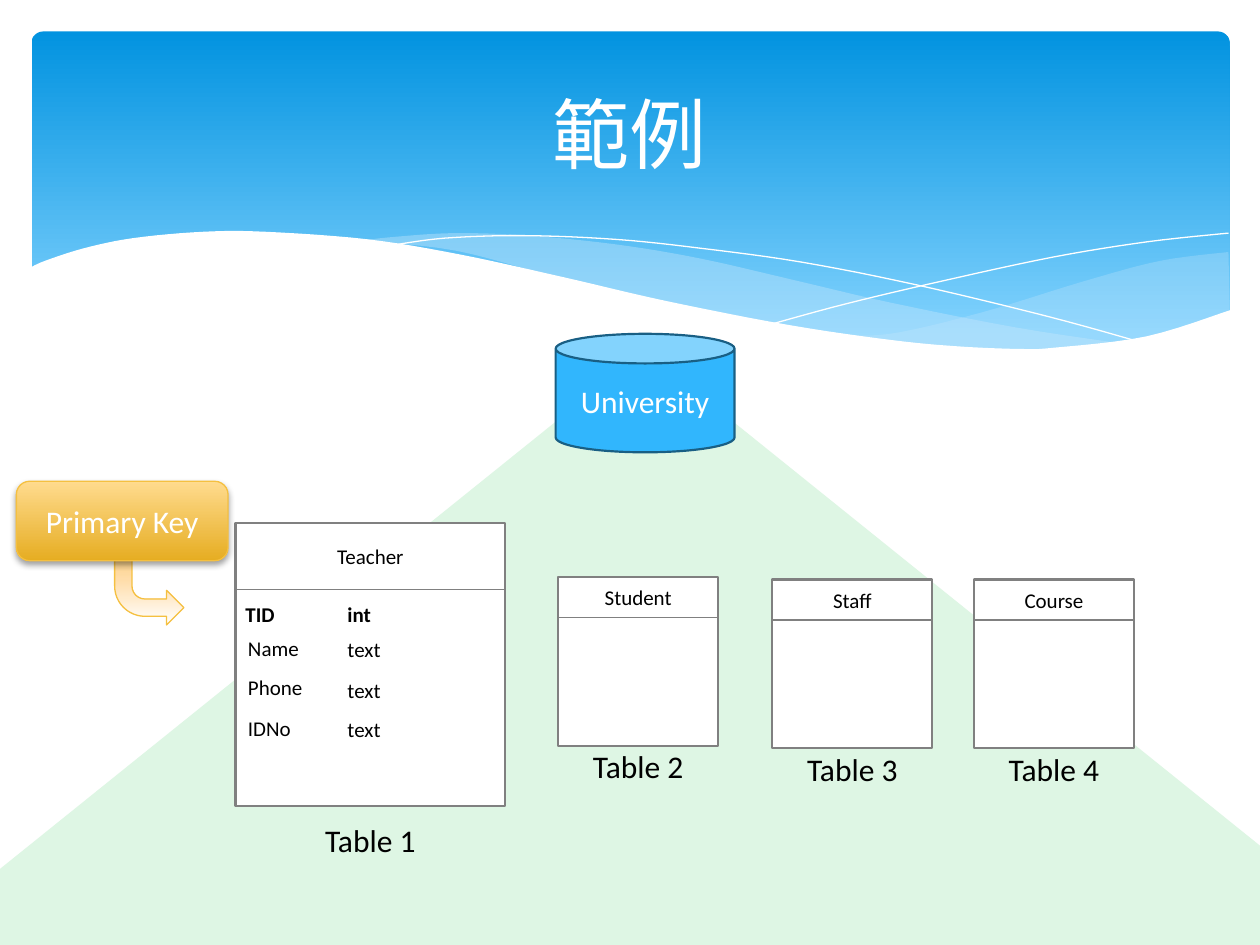
from copy import deepcopy

from lxml.etree import SubElement
from pptx import Presentation
from pptx.dml.color import RGBColor
from pptx.enum.shapes import MSO_CONNECTOR, MSO_SHAPE
from pptx.enum.text import MSO_ANCHOR, PP_ALIGN
from pptx.oxml.ns import qn
from pptx.util import Emu, Pt

PX = 9144  # 100 px to the inch
LATIN, CJK = "Calibri", "Noto Sans CJK SC"
BLACK, WHITE, GRAY, GOLD = "000000", "FFFFFF", "808080", "F5C040"

# Knots of the header curves, in px from the header's corner
RIGHT_SWELL = [
    [(950, 175), (896, 182), (836, 198), (754, 223), (681, 240), (636, 240 + 0)],
    [(636, 240), (694, 247), (756, 252), (799, 252), (847, 249), (903, 240), (951, 222)],
]
LONG_SWELL = [
    [(868, 248), (782, 235), (681, 215), (604, 197), (530, 180), (464, 169),
     (395, 162), (336, 160), (288, 163), (261, 166)],
    [(261, 166), (337, 174), (424, 197), (505, 215), (593, 233), (670, 245),
     (748, 252), (803, 253), (842, 251), (868, 248)],
]
FALLING_LINE = [(284, 170), (328, 164), (391, 162), (464, 165), (531, 172),
                (611, 183), (702, 201), (806, 226), (882, 247)]
RISING_LINE = [(588, 232), (647, 216), (723, 198), (811, 179), (885, 167), (950, 160)]
WHITE_WAVE = [(952, 221), (885, 242), (812, 251), (784, 252), (736, 250), (683, 245),
              (601, 233), (504, 214), (422, 195), (340, 177), (267, 165), (186, 159),
              (136, 159), (81, 164), (42, 172), (11, 182), (-2, 188)]

# Name, x, y, type, y of type, in px from the table's corner
TEACHER_FIELDS = [
    ("TID", -2, 59, "int", 59),
    ("Name", 0, 86, "text", 87),
    ("Phone", 0, 117, "text", 119),
    ("IDNo", 0, 149, "text", 150),
]


def emu(px):
    return Emu(round(px * PX))


def rgb(value):
    return RGBColor.from_string(value)


def fill_solid(shape, color, opacity=100):
    shape.fill.solid()
    shape.fill.fore_color.rgb = rgb(color)
    if opacity < 100:
        color_node = shape._element.spPr.find(qn("a:solidFill"))[0]
        SubElement(color_node, qn("a:alpha"), val=str(opacity * 1000))


def fill_gradient(shape, stops):
    """Fill from top to bottom with (position, colour) stops."""
    shape.fill.gradient()
    shape.fill.gradient_angle = 270
    stop_list = shape._element.spPr.find(qn("a:gradFill")).find(qn("a:gsLst"))
    while len(stop_list) < len(stops):
        stop_list.append(deepcopy(stop_list[-1]))
    for stop, (position, color) in zip(shape.fill.gradient_stops, stops):
        stop.position = position
        stop.color.rgb = rgb(color)


def set_line(shape, color=None, width=0):
    if color is None:
        shape.line.fill.background()
    else:
        shape.line.color.rgb = rgb(color)
        shape.line.width = Pt(width)


def add_preset(shapes, preset, box, line=None, width=0):
    shape = shapes.add_shape(preset, *map(emu, box))
    shape.shadow.inherit = False
    set_line(shape, line, width)
    return shape


def write(shape, text, size, color=BLACK, bold=False, align=PP_ALIGN.CENTER,
          inset=0, font=LATIN):
    frame = shape.text_frame
    frame.word_wrap = True
    frame.vertical_anchor = MSO_ANCHOR.MIDDLE
    frame.margin_left = frame.margin_right = emu(inset)
    frame.margin_top = frame.margin_bottom = 0
    paragraph = frame.paragraphs[0]
    paragraph.alignment = align
    run = paragraph.add_run()
    run.text = text
    run.font.size = Pt(size)
    run.font.bold = bold
    run.font.name = font
    run.font.color.rgb = rgb(color)
    return run


def add_label(shapes, box, text, size, **style):
    write(shapes.add_textbox(*map(emu, box)), text, size, **style)


def curve(knots, steps=6):
    """Points of a Catmull-Rom spline through the knots."""
    padded = [knots[0], *knots, knots[-1]]
    points = [knots[0]]
    for a, b, c, d in zip(padded, padded[1:], padded[2:], padded[3:]):
        for step in range(1, steps + 1):
            t = step / steps
            points.append(tuple(
                (2 * q + (r - p) * t + (2 * p - 5 * q + 4 * r - s) * t**2
                 + (3 * q - p - 3 * r + s) * t**3) / 2
                for p, q, r, s in zip(a, b, c, d)))
    return points


def add_outline(shapes, left, top, points, closed=True):
    start, *rest = [(emu(left + x), emu(top + y)) for x, y in points]
    builder = shapes.build_freeform(*start, scale=1.0)
    builder.add_line_segments(rest, close=closed)
    shape = builder.convert_to_shape()
    shape.shadow.inherit = False
    set_line(shape)
    return shape


def add_header(shapes, left, top, width, height):
    panel = add_preset(shapes, MSO_SHAPE.ROUNDED_RECTANGLE, (left, top, width, height))
    panel.adjustments[0] = 0.034
    fill_gradient(panel, [(0, "0293E0"), (0.9, "83D3FE")])

    waves = shapes.add_group_shape().shapes
    for edges, opacity in ((RIGHT_SWELL, 29), (LONG_SWELL, 40)):
        points = [point for edge in edges for point in curve(edge)]
        fill_solid(add_outline(waves, left, top, points), "C6E7FC", opacity)
    for knots in (FALLING_LINE, RISING_LINE):
        thread = add_outline(waves, left, top, curve(knots), closed=False)
        thread.fill.background()
        set_line(thread, WHITE)
    below = [(-2, height + 34), (width + 1, height + 34)]
    fill_solid(add_outline(waves, left, top, curve(WHITE_WAVE) + below), WHITE)


def place_title(slide, box, text):
    title = slide.shapes.title
    title.left, title.top, title.width, title.height = map(emu, box)
    run = write(title, text, 44, color=WHITE, font=CJK)
    SubElement(run._r.get_or_add_rPr(), qn("a:ea"), typeface=CJK)
    slide.shapes._spTree.append(title._element)  # in front of the header


def add_database_table(shapes, box, head, name, caption):
    """A table box with its name in the head and a caption below."""
    left, top, width, height = box
    parts = shapes.add_group_shape().shapes
    body = add_preset(parts, MSO_SHAPE.RECTANGLE, box, GRAY, 1.25)
    fill_solid(body, WHITE)
    rule = parts.add_connector(MSO_CONNECTOR.STRAIGHT, emu(left), emu(top + head),
                               emu(left + width), emu(top + head))
    set_line(rule, GRAY, 0.75)
    SubElement(rule._element.spPr, qn("a:effectLst"))
    for text, size, share, y in ((name, 12, 0.9, top), (caption, 18, 0.74, top + height)):
        label_width = width * share
        label_left = left + (width - label_width) / 2
        add_label(parts, (label_left, y, label_width, head), text, size)


def add_fields(shapes, left, top):
    for row, (name, x, y, kind, kind_y) in enumerate(TEACHER_FIELDS):
        for text, dx, dy in ((name, x, y), (kind, 79, kind_y)):
            add_label(shapes, (left + dx, top + dy, 77, 27), text, 12,
                      bold=row == 0, align=PP_ALIGN.LEFT, inset=10)


def add_primary_key(shapes, left, top, width, height):
    arrow = add_preset(shapes, MSO_SHAPE.BENT_ARROW,
                       (left + 78, top + 32, 55, 82), GOLD, 0.75)
    arrow._element.spPr.find(qn("a:xfrm")).set("flipV", "1")
    fill_gradient(arrow, [(0, WHITE), (0.44, "FFDDAA"), (1, "F4BB4A")])

    key = add_preset(shapes, MSO_SHAPE.ROUNDED_RECTANGLE,
                     (left, top, width, height), GOLD, 0.75)
    fill_gradient(key, [(0, "FFDB8E"), (1, "E6AD22")])
    shadow = SubElement(key._element.spPr.find(qn("a:effectLst")), qn("a:outerShdw"),
                        blurRad=str(Pt(4)), dist=str(Pt(2)), dir="5400000", rotWithShape="0")
    shadow_color = SubElement(shadow, qn("a:srgbClr"), val=BLACK)
    SubElement(shadow_color, qn("a:alpha"), val="38000")
    write(key, "Primary Key", 18, color=WHITE)


def main():
    prs = Presentation()
    prs.slide_width, prs.slide_height = emu(1000), emu(750)
    slide = prs.slides.add_slide(prs.slide_layouts[5])
    shapes = slide.shapes

    add_header(shapes, 25, 25, 951, 270)
    fill_solid(add_preset(shapes, MSO_SHAPE.ISOSCELES_TRIANGLE, (-75, 278, 1173, 472)), "DEF6E4")
    place_title(slide, (50, 37, 900, 137), "範例")

    add_database_table(shapes, (187, 415, 214, 225), 53, "Teacher", "Table 1")
    small_tables = [(443, 458, "Student"), (613, 460, "Staff"), (773, 460, "Course")]
    for number, (left, top, name) in enumerate(small_tables, start=2):
        add_database_table(shapes, (left, top, 127, 134), 32, name, f"Table {number}")

    university = add_preset(shapes, MSO_SHAPE.CAN, (441, 265, 142, 94), "195F84", 1.25)
    fill_solid(university, "31B6FD")
    write(university, "University", 18, color=WHITE)

    add_fields(shapes, 187, 415)
    add_primary_key(shapes, 13, 382, 168, 63)
    prs.save("out.pptx")


if __name__ == "__main__":
    main()
